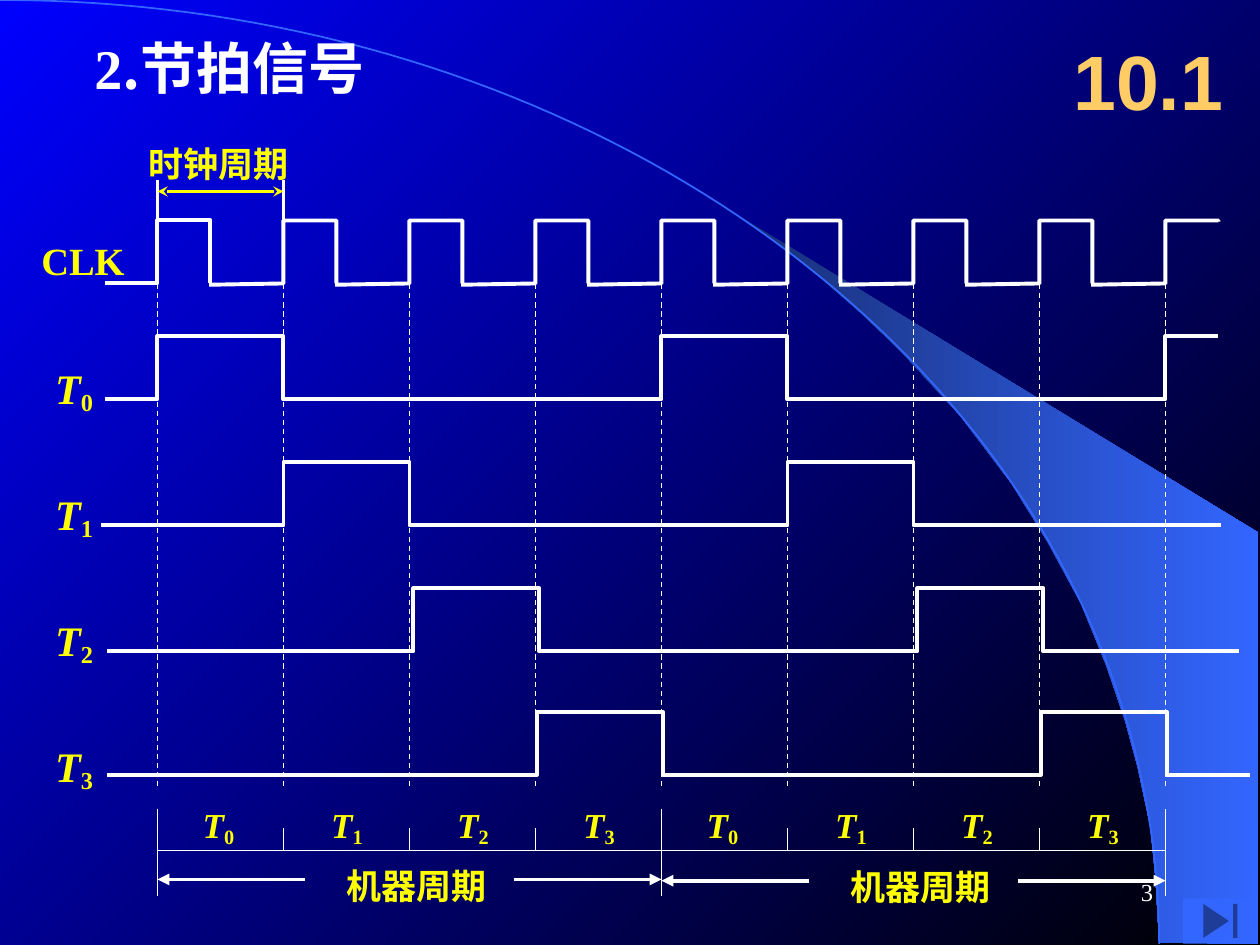
from lxml import etree
from pptx import Presentation
from pptx.dml.color import RGBColor
from pptx.enum import dml, shapes, text
from pptx.oxml.ns import qn
from pptx.util import Inches, Pt

WHITE = RGBColor(0xFF, 0xFF, 0xFF)
YELLOW = RGBColor(0xFF, 0xFF, 0x00)
ORANGE = RGBColor(0xFF, 0xCC, 0x66)
BLUE = RGBColor(0x00, 0x00, 0xFF)
BLACK = RGBColor(0x00, 0x00, 0x00)
SKY = RGBColor(0x33, 0x66, 0xFF)
NAVY = RGBColor(0x18, 0x2F, 0x76)
SERIF = "Times New Roman"
CJK = "Noto Sans CJK SC"

presentation = Presentation()
presentation.slide_width = Inches(10)
presentation.slide_height = Inches(7.5)
slide = presentation.slides.add_slide(presentation.slide_layouts[6])


def add_line(x1, y1, x2, y2, width=0.75, color=WHITE, dashed=False, head=None, tail=None):
    """Draw a straight line; head and tail name the arrowheads at its start and end."""
    line = slide.shapes.add_connector(
        shapes.MSO_CONNECTOR.STRAIGHT, Inches(x1), Inches(y1), Inches(x2), Inches(y2))
    line.line.color.rgb = color
    line.line.width = Pt(width)
    if dashed:
        line.line.dash_style = dml.MSO_LINE.DASH
    for tag, arrow in (("a:headEnd", head), ("a:tailEnd", tail)):
        if arrow:
            etree.SubElement(line.line._get_or_add_ln(), qn(tag), type=arrow)
    etree.SubElement(line._element.spPr, qn("a:effectLst"))


def add_text(left, top, width, height, words, size, color=YELLOW, font=SERIF, bold=True,
             wrap=False, grow=True, subscript=None):
    """Add a one-paragraph text box; with a subscript, the words become italic."""
    box = slide.shapes.add_textbox(Inches(left), Inches(top), Inches(width), Inches(height))
    frame = box.text_frame
    frame.word_wrap = wrap
    if grow:
        frame.auto_size = text.MSO_AUTO_SIZE.SHAPE_TO_FIT_TEXT
    else:
        frame.vertical_anchor = text.MSO_ANCHOR.MIDDLE
    paragraph = frame.paragraphs[0]
    paragraph.font.name = font
    paragraph.font.size = Pt(size)
    paragraph.font.bold = bold
    paragraph.font.color.rgb = color
    run = paragraph.add_run()
    run.text = words
    etree.SubElement(run._r.get_or_add_rPr(), qn("a:ea"), typeface=CJK)
    if subscript is not None:
        run.font.italic = True
        lower = paragraph.add_run()
        lower.text = subscript
        lower._r.get_or_add_rPr().set("baseline", "-15000")
    return paragraph


# Background
background = slide.background.fill
background.gradient()
background.gradient_angle = 315
for stop, color in zip(background.gradient_stops, (BLUE, BLACK)):
    stop.color.rgb = color

beam = [(9.2, 7.48), (9.99, 7.49), (9.99, 4.23), (5.89, 1.73), (6.24, 1.99), (6.53, 2.22),
        (6.85, 2.5), (7.16, 2.8), (7.62, 3.3), (8.03, 3.84), (8.32, 4.31), (8.58, 4.79),
        (8.78, 5.28), (8.93, 5.72), (9.03, 6.09), (9.13, 6.56), (9.17, 6.96)]

# Bezier curve through (0, 0), (5.08, 0), (9.2, 3.35), (9.2, 7.49)
arc = []
for step in range(81):
    t = step / 80
    s = 1 - t
    arc.append((3 * s * s * t * 5.08 + 3 * s * t * t * 9.2 + t ** 3 * 9.2,
                3 * s * t * t * 3.35 + t ** 3 * 7.49))

# Waveforms: one clock pulse per inch, one T pulse every four inches
ticks = [1.25 + i for i in range(9)]
waves = []
for i, (start, end, shift, low) in enumerate([
        (0.83, 9.67, 0, 3.17), (0.8, 9.69, 0, 4.17),
        (0.85, 9.83, 0.03, 5.17), (0.85, 9.92, 0.01, 6.15)]):
    wave = [(start, low)]
    level = low
    for rise in ticks[i::4]:
        x = rise + shift
        wave += [(x, low), (x, low - 0.5)]
        level = low - 0.5
        if rise < ticks[-1]:
            wave += [(x + 1, low - 0.5), (x + 1, low)]
            level = low
    waves.append(wave + [(end, level)])
for x in ticks:
    start = (0.83, 2.25) if x == ticks[0] else (x - 0.59, 2.26)
    fall = 1.76 if x == ticks[-1] else 2.25
    waves.append([start, (x, 2.25), (x, 1.75), (x + 0.42, 1.75), (x + 0.42, fall)])

outlines = [(beam, None, 0), (arc, SKY, 1)] + [(wave, WHITE, 2.25) for wave in waves]
for points, color, width in outlines:
    points = [(Inches(x), Inches(y)) for x, y in points]
    builder = slide.shapes.build_freeform(*points[0])
    builder.add_line_segments(points[1:], close=color is None)
    shape = builder.convert_to_shape()
    shape.shadow.inherit = False
    if color is None:
        shape.line.fill.background()
        shape.fill.gradient()
        shape.fill.gradient_angle = 0
        for stop, shade in zip(shape.fill.gradient_stops, (NAVY, SKY)):
            stop.color.rgb = shade
    else:
        shape.fill.background()
        shape.line.color.rgb = color
        shape.line.width = Pt(width)

# Headings
title = add_text(0.65, 0.22, 3.93, 0.64, "2", 32, WHITE, wrap=True)
title_words = title.add_run()
title_words.text = ".节拍信号"
title_words.font.name = CJK
etree.SubElement(title_words._r.get_or_add_rPr(), qn("a:ea"), typeface=CJK)
add_text(8.42, 0.17, 1.58, 0.92, "10.1", 44, ORANGE, "Arial", wrap=True, grow=False)

# Signal names
add_text(0.23, 1.83, 0.86, 0.47, "CLK", 22)
for i in range(4):
    add_text(0.34, 2.83 + i, 0.5, 0.52, "T", 24, subscript=str(i))

# Guides and the clock period
for x in ticks:
    add_line(x, 1.97, x, 6.25, dashed=True)
for x in ticks[:2]:
    add_line(x, 1.43, x, 1.77, 1.5)
add_line(1.25, 1.52, 2.25, 1.52, 1.5, YELLOW, head="stealth", tail="stealth")
add_text(1.08, 1.08, 1.31, 0.44, "时钟周期", 20)

# Time axis with machine periods
add_line(1.25, 6.75, 9.25, 6.75)
for i, x in enumerate(ticks):
    top, bottom = (6.57, 6.75) if i % 4 else (6.42, 7.11)
    add_line(x, top, x, bottom)
    if i < 8:
        add_text(x + (0.28 if i % 4 else 0.26), 6.33, 0.45, 0.45, "T", 20, subscript=str(i % 4))
for x, y in ((1.25, 6.98), (5.25, 6.99)):
    add_line(x + 2.83, y, x + 4, y, 2.25, tail="triangle")
    add_line(x + 1.17, y, x, y, 2.25, tail="triangle")
    add_text(x + 1.4, y - 0.17, 1.31, 0.44, "机器周期", 20)

# Navigation button and page number
button = slide.shapes.add_shape(shapes.MSO_SHAPE.ACTION_BUTTON_END, Inches(9.39), Inches(7.13),
                                Inches(0.59), Inches(0.36))
button.shadow.inherit = False
button.fill.solid()
button.fill.fore_color.rgb = SKY
button.line.fill.background()
page_number = add_text(7.17, 6.83, 2.08, 0.5, "3", 14, WHITE, bold=False, wrap=True, grow=False)
page_number.alignment = text.PP_ALIGN.RIGHT

presentation.save("out.pptx")
